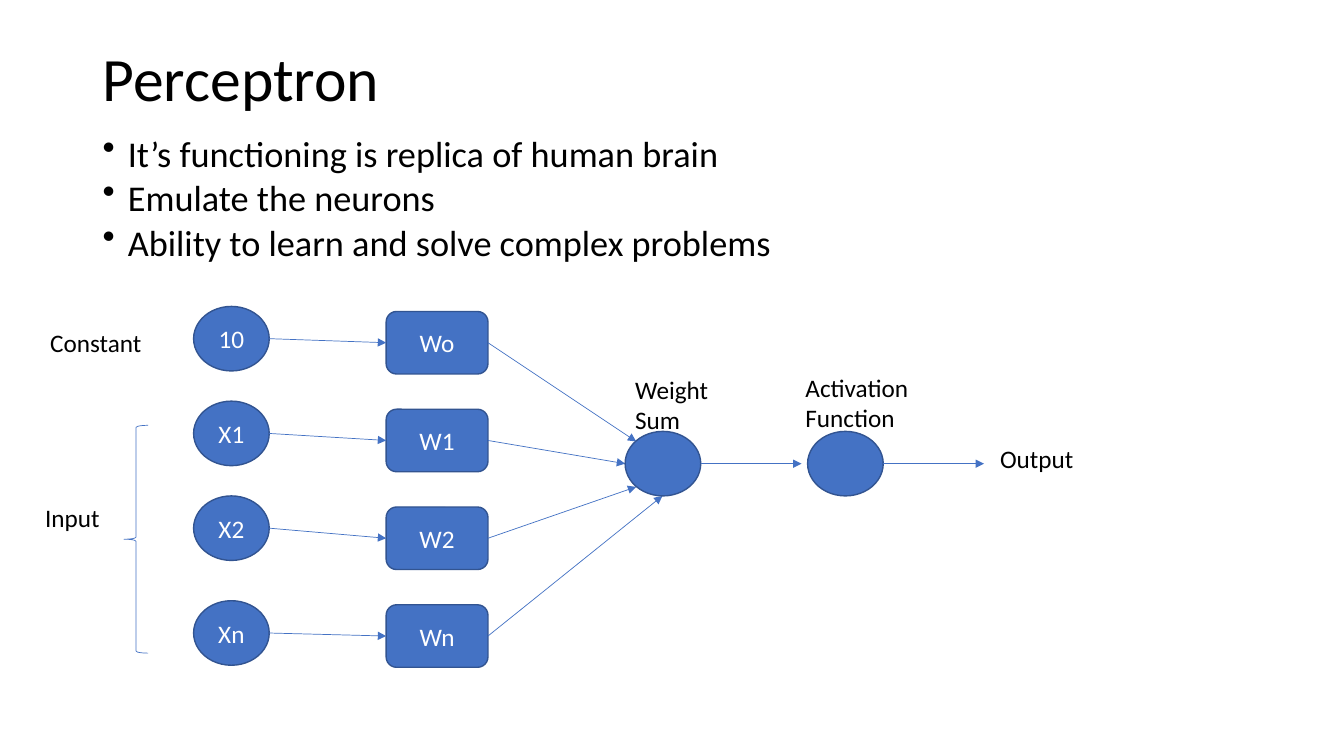
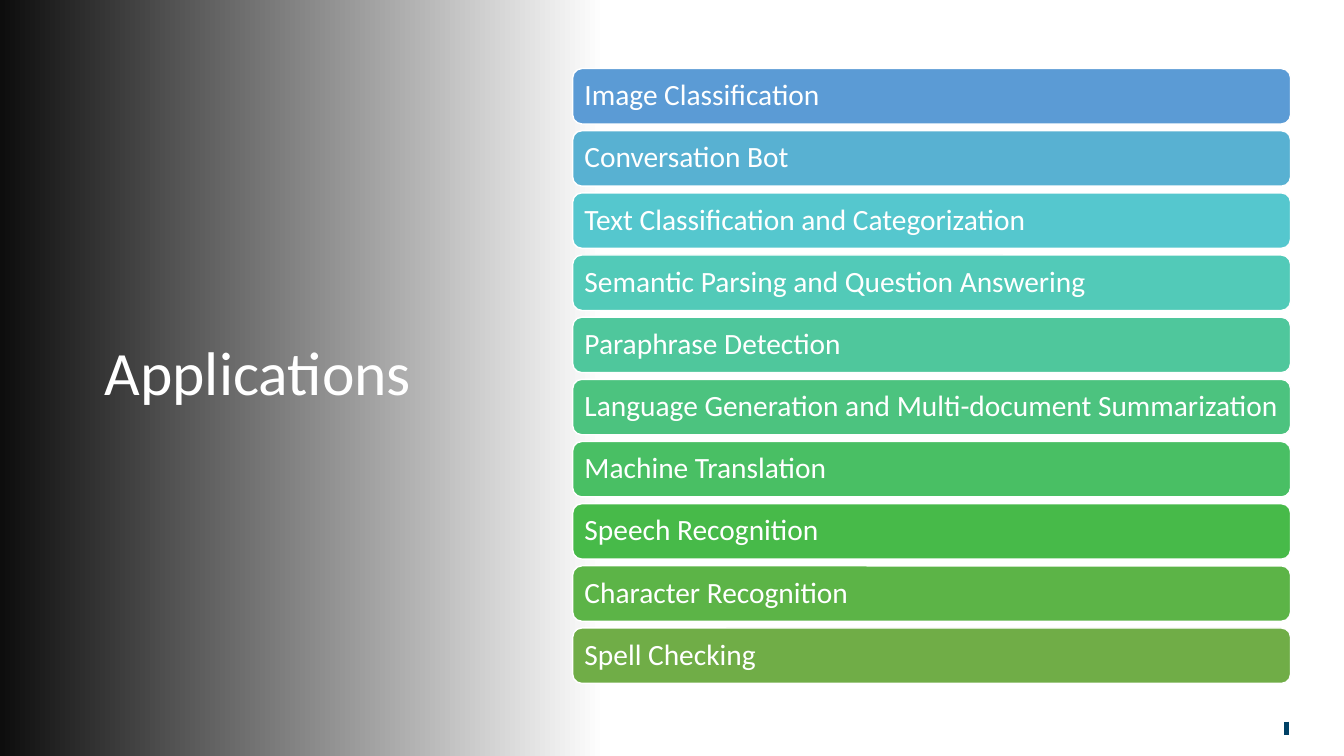
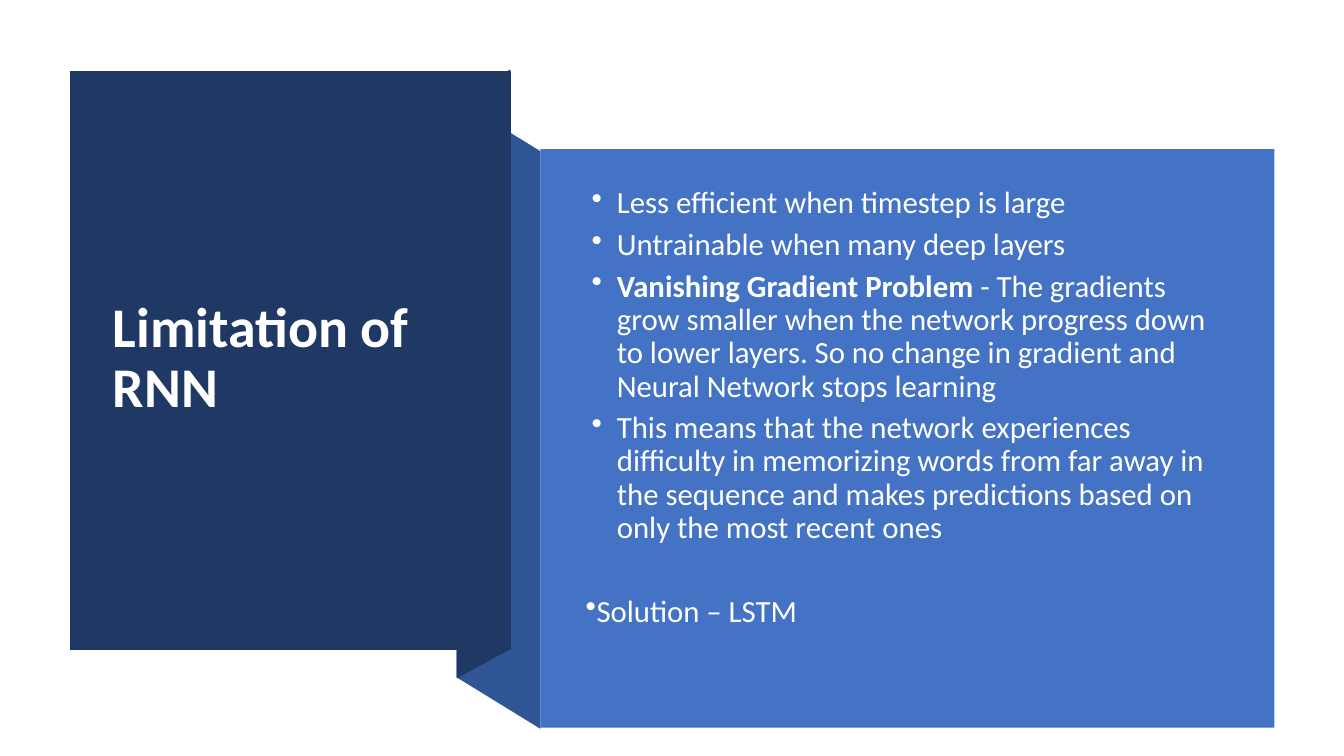
from pptx import Presentation
from pptx import util as u
from pptx.dml.color import RGBColor
from pptx.enum import shapes, text
from pptx.oxml import ns
from lxml import etree

FONT = "Calibri"
HUE = {
    "black": "000000", "white": "FFFFFF", "soft": "FEFFFF",
    "blue": "4472C4", "edge": "325491", "fold": "2F5597",
    "navy": "203864", "dark": "0D0D0D", "tick": "004166",
}
KIND = shapes.MSO_SHAPE
MID, TOP = text.MSO_ANCHOR.MIDDLE, text.MSO_ANCHOR.TOP
LEFT, MIDST = text.PP_ALIGN.LEFT, text.PP_ALIGN.CENTER

POINTS = [
    "It’s functioning is replica of human brain",
    "Emulate the neurons",
    "Ability to learn and solve complex problems",
]
INPUTS = [("10", 3.04), ("X1", 3.98), ("X2", 4.92), ("Xn", 5.96)]
WEIGHTS = ["Wo", "W1", "W2", "Wn"]
JOINS = [(6.31, 4.38), (6.2, 4.6), (6.31, 4.83), (6.57, 4.92)]
NODES = [6.2, 8.01]
LABELS = [
    ("Weight Sum", (6.2, 3.66, 1.01, 0.71)),
    ("Activation Function", (7.89, 3.64, 1.39, 0.71)),
    ("Input", (0.35, 4.93, 0.84, 0.4)),
    ("Constant", (0.4, 3.2, 1.26, 0.4)),
    ("Output", (9.82, 4.35, 1.39, 0.4)),
]
USES = [
    ("Image Classification", "5B9BD5"),
    ("Conversation Bot", "58B1D2"),
    ("Text Classification and Categorization", "55C7CE"),
    ("Semantic Parsing and Question Answering", "52CAB8"),
    ("Paraphrase Detection", "4FC79C"),
    ("Language Generation and Multi-document Summarization", "4CC37F"),
    ("Machine Translation", "49BF64"),
    ("Speech Recognition", "47BA49"),
    ("Character Recognition", "5CB447"),
    ("Spell Checking", "70AD47"),
]
PANELS = [
    ("fold", [(5.36, 7.23), (4.53, 6.72), (4.53, 0.99), (5.36, 1.5)]),
    ("navy", [(5.06, 6.44), (4.53, 6.73), (4.53, 0.98), (5.06, 0.69)]),
    ("navy", [(0.69, 0.7), (5.07, 0.7), (5.07, 6.45), (0.69, 6.45)]),
]
LIMITS = [
    "Less efficient when timestep is large",
    "Untrainable when many deep layers",
    [("Vanishing Gradient Problem ", True),
     ("- The gradients grow smaller when the network progress down to lower "
      "layers. So no change in gradient and Neural Network stops learning", False)],
    "This means that the network experiences difficulty in memorizing words from "
    "far away in the sequence and makes predictions based on only the most recent ones",
    "Solution – LSTM",
]


def tint(name):
    return RGBColor.from_string(HUE.get(name, name))


def inch(vals):
    return [u.Inches(v) for v in vals]


def write(shape, paras, size=18, color="black", bold=False, align=LEFT, anchor=TOP,
          lead=None, before=0, after=0, dents=None, pads=(0.1, 0.05, 0.1, 0.05)):
    frame = shape.text_frame
    frame.word_wrap = True
    frame.vertical_anchor = anchor
    (frame.margin_left, frame.margin_top,
     frame.margin_right, frame.margin_bottom) = inch(pads)
    for i, para in enumerate(paras):
        p = frame.paragraphs[0] if i == 0 else frame.add_paragraph()
        if dents:
            left, first = dents[i]
            props = p._p.get_or_add_pPr()
            props.set("marL", str(u.Inches(left)))
            props.set("indent", str(u.Inches(first)))
            etree.SubElement(props, ns.qn("a:buChar")).set("char", "•")
        p.alignment = align
        if lead:
            p.line_spacing = lead
        p.space_before = u.Pt(before if i else 0)
        p.space_after = u.Pt(after)
        for words, heavy in [(para, bold)] if isinstance(para, str) else para:
            run = p.add_run()
            run.text = words
            run.font.name, run.font.size = FONT, u.Pt(size)
            run.font.bold = heavy
            run.font.color.rgb = tint(color)
    return frame


def label(slide, box, paras, **form):
    return write(slide.shapes.add_textbox(*inch(box)), paras, **form)


def title(slide, box, words, **form):
    label(slide, box, [words], **{"size": 44, "anchor": MID, "lead": 0.9, **form})


def paint(shape, fill=None, line=None, width=1):
    shape.shadow.inherit = False
    if fill:
        shape.fill.solid()
        shape.fill.fore_color.rgb = tint(fill)
    else:
        shape.fill.background()
    if line:
        shape.line.color.rgb = tint(line)
        shape.line.width = u.Pt(width)
    else:
        shape.line.fill.background()
    return shape


def draw(slide, kind, box, **look):
    return paint(slide.shapes.add_shape(kind, *inch(box)), **look)


def link(slide, start, end, color="blue", width=0.5, arrow=True):
    line = slide.shapes.add_connector(
        shapes.MSO_CONNECTOR.STRAIGHT, *inch(start + end))
    line.line.color.rgb = tint(color)
    line.line.width = u.Pt(width)
    if arrow:
        tail = etree.SubElement(line.line._get_or_add_ln(), ns.qn("a:tailEnd"))
        tail.set("type", "triangle")
    etree.SubElement(line._element.spPr, ns.qn("a:effectLst"))


def neuron(slide):
    title(slide, (0.92, 0.4, 11.5, 0.81), "Perceptron")
    label(slide, (0.92, 1.37, 11.5, 1.37), POINTS, size=25.9, lead=0.7,
          before=10, dents=[(0.25, -0.25)] * len(POINTS))
    look = {"fill": "blue", "line": "edge"}
    form = {"color": "white", "align": MIDST, "anchor": MID}
    wide, high = 0.75, 0.64
    for i, ((name, top), weight, join) in enumerate(zip(INPUTS, WEIGHTS, JOINS)):
        ball = draw(slide, KIND.FLOWCHART_CONNECTOR, (1.92, top, wide, high), **look)
        write(ball, [name], **form)
        row = 3.09 + 0.97 * i
        card = draw(slide, KIND.ROUNDED_RECTANGLE, (3.83, row, 1.01, 0.62), **look)
        write(card, [weight], **form)
        mid = row + 0.31
        link(slide, (1.92 + wide, top + high / 2), (3.83, mid))
        link(slide, (4.84, mid), join)
    for left in NODES:
        draw(slide, KIND.FLOWCHART_CONNECTOR, (left, 4.28, wide, high), **look)
        link(slide, (left + wide, 4.6), (left + wide + 1, 4.6))
    for words, box in LABELS:
        label(slide, box, [words])
    draw(slide, KIND.LEFT_BRACE, (1.23, 4.22, 0.24, 2.26), line="blue", width=0.5)


def uses(slide):
    shade = draw(slide, KIND.RECTANGLE, (0, 0, 13.33, 7.5))
    shade.fill.gradient()
    shade.fill.gradient_angle = 0
    for stop, (place, name) in zip(shade.fill.gradient_stops,
                                   [(0, "dark"), (0.45, "white")]):
        stop.position = place
        stop.color.rgb = tint(name)
    link(slide, (12.76, 7.16), (12.76, 7.29), color="tick", width=2.9, arrow=False)
    title(slide, (0.94, 1.11, 3.74, 5.24), "Applications", color="white")
    step = (6.23 - 0.68) / (len(USES) - 1)
    for i, (words, fill) in enumerate(USES):
        bar = draw(slide, KIND.ROUNDED_RECTANGLE, (5.68, 0.68 + step * i, 7.12, 0.55),
                   fill=fill, line="white")
        write(bar, [words], size=21, color="white", anchor=MID, lead=0.9,
              pads=(0.09, 0.09, 0.04, 0.09))


def limits(slide):
    for fill, spots in PANELS:
        first, *rest = [tuple(inch(spot)) for spot in spots]
        path = slide.shapes.build_freeform(*first)
        path.add_line_segments(rest, close=True)
        paint(path.convert_to_shape(), fill=fill)
    title(slide, (1.02, 1.07, 3.71, 4.99), "Limitation of RNN",
          size=40, color="white", bold=True)
    draw(slide, KIND.RECTANGLE, (5.36, 1.48, 7.28, 5.74), fill="blue")
    dents = [(0.31, -0.25)] * (len(LIMITS) - 1) + [(0, 0)]
    frame = label(slide, (5.71, 1.81, 6.51, 4.8), LIMITS, size=22, color="soft",
                  lead=0.9, after=6, dents=dents)
    frame.paragraphs[-1].space_before = u.Pt(30)


def main():
    deck = Presentation()
    deck.slide_width, deck.slide_height = inch((13.33, 7.5))
    for build in (neuron, uses, limits):
        build(deck.slides.add_slide(deck.slide_layouts[6]))
    deck.save("out.pptx")


if __name__ == "__main__":
    main()
